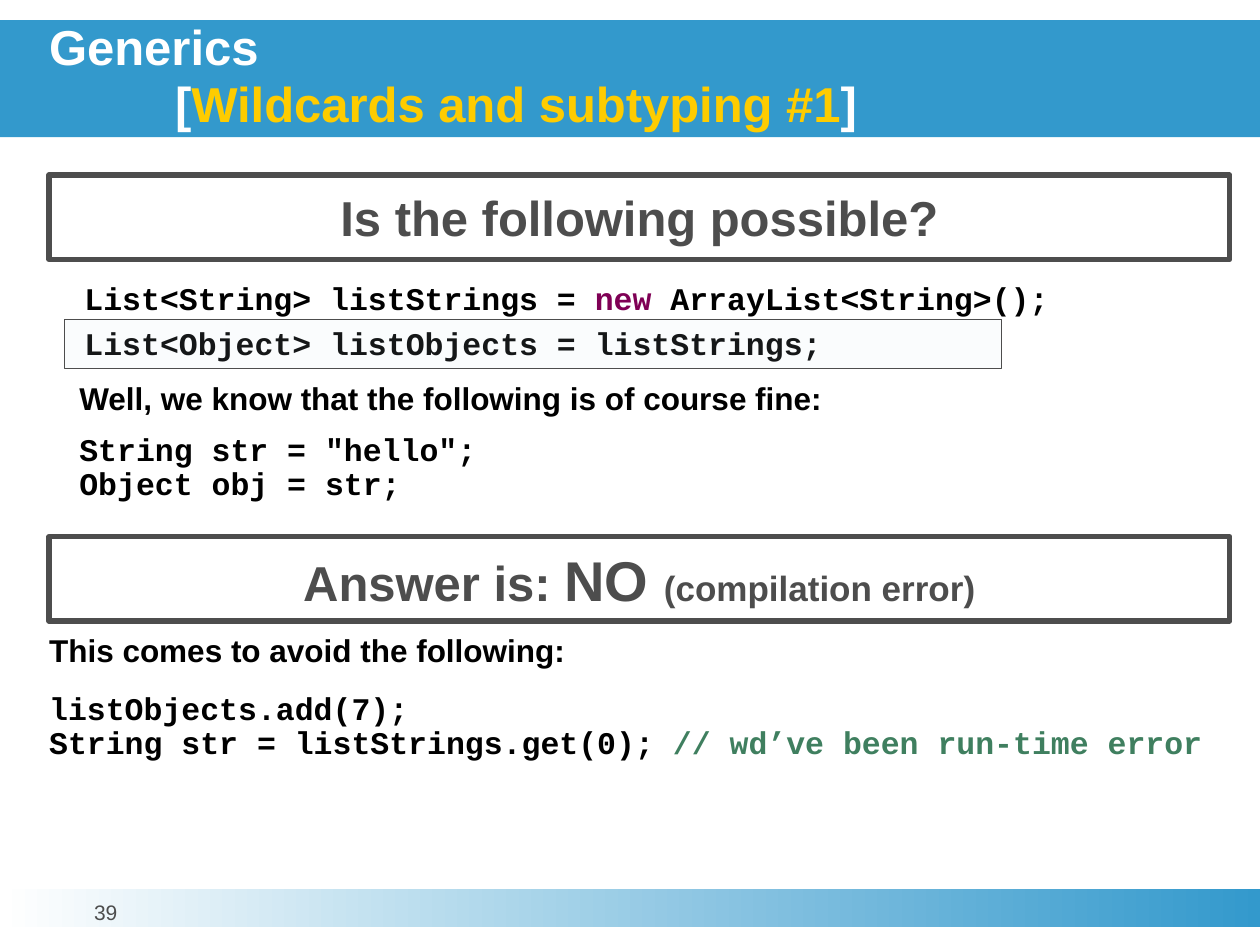
"""Build a slide on Java generics: wildcards and subtyping."""
from dataclasses import dataclass

from lxml import etree
from pptx import Presentation
from pptx.dml.color import RGBColor
from pptx.enum.dml import MSO_FILL
from pptx.enum.shapes import MSO_SHAPE
from pptx.enum.text import MSO_ANCHOR, PP_ALIGN
from pptx.oxml.ns import qn
from pptx.util import Inches, Pt

RECT = MSO_SHAPE.RECTANGLE
SOLID = MSO_FILL.SOLID
TOP, MIDDLE = MSO_ANCHOR.TOP, MSO_ANCHOR.MIDDLE
LEFT, CENTER = PP_ALIGN.LEFT, PP_ALIGN.CENTER
WHITE = RGBColor(0xFF, 0xFF, 0xFF)
BLACK = RGBColor(0, 0, 0)
BLUE = RGBColor(0x33, 0x99, 0xCC)
PALE = RGBColor(0xD4, 0xE9, 0xF4)
GREY = RGBColor(0x4D, 0x4D, 0x4D)
GOLD = RGBColor(0xFE, 0xCC, 0x00)
KEYWORD = RGBColor(0x7F, 0x00, 0x55)
COMMENT = RGBColor(0x3F, 0x7F, 0x5F)
SANS, MONO = "Arial", "Courier New"
WIDTH, HEIGHT = Inches(10), Inches(7.5)
COL, ROW = WIDTH / 100, HEIGHT / 75


@dataclass(frozen=True)
class Box:
    """Place on a grid of 100 columns and 75 rows."""
    col: float
    row: float
    cols: float
    rows: float

    def emu(self) -> tuple[int, ...]:
        """Return left, top, width and height in EMU."""
        return tuple(round(n) for n in (self.col * COL, self.row * ROW,
                                        self.cols * COL, self.rows * ROW))


@dataclass(frozen=True)
class Run:
    """Words with an optional colour and size of their own."""
    text: str
    color: RGBColor | None = None
    size: float | None = None


@dataclass(frozen=True)
class Para:
    """A paragraph of runs in one font."""
    runs: tuple[Run, ...]
    font: str = SANS
    size: float = 18
    color: RGBColor = BLACK
    bold: bool = True
    align: PP_ALIGN = LEFT
    spacing: float = 0.9
    before: float = 0
    indent: float = 0


def code(*runs: Run, before: float = 0) -> Para:
    """Return a line of code."""
    return Para(runs, font=MONO, before=before)


def write(sp, paras: list[Para], anchor: MSO_ANCHOR = TOP, wrap: bool = True) -> None:
    """Fill a shape with paragraphs, without insets."""
    tf = sp.text_frame
    tf.word_wrap = wrap
    tf.vertical_anchor = anchor
    tf.margin_left = tf.margin_top = tf.margin_right = tf.margin_bottom = 0
    for i, para in enumerate(paras):
        p = tf.add_paragraph() if i else tf.paragraphs[0]
        p.alignment, p.line_spacing = para.align, para.spacing
        p.space_before = Pt(para.before)
        p._p.get_or_add_pPr().set("marL", str(round(para.indent * COL)))
        p.font.name, p.font.size, p.font.bold = para.font, Pt(para.size), para.bold
        p.font.color.rgb = para.color
        for run in para.runs:
            r = p.add_run()
            r.text = run.text
            if run.color is not None:
                r.font.color.rgb = run.color
            if run.size:
                r.font.size = Pt(run.size)


def add_rect(s, box: Box, fill: RGBColor | None = None,
             line: RGBColor | None = None, weight: float = 0):
    """Add a plain rectangle."""
    sp = s.shapes.add_shape(RECT, *box.emu())
    sp.shadow.inherit = False
    if fill is None:
        sp.fill.background()
    else:
        sp.fill.solid()
        sp.fill.fore_color.rgb = fill
    if line is None:
        sp.line.fill.background()
    else:
        sp.line.color.rgb = line
        sp.line.width = Pt(weight)
    return sp


def add_text(s, box: Box, *paras: Para) -> None:
    """Add a text box."""
    write(s.shapes.add_textbox(*box.emu()), list(paras))


def add_banner(s, row: float, *runs: Run) -> None:
    """Add a framed headline."""
    sp = add_rect(s, Box(3.9, row, 93.7, 6.7), line=GREY, weight=3)
    para = Para(runs, size=28, color=GREY, align=CENTER, spacing=1)
    write(sp, [para], MIDDLE, wrap=False)


def add_footer(s, number: str) -> None:
    """Add the fading bar and the slide number."""
    fill = add_rect(s, Box(0, 70.6, 100, 3)).fill
    fill.gradient()
    fill.gradient_angle = 0
    for stop, position, color in zip(fill.gradient_stops, (0, 1), (WHITE, BLUE)):
        stop.position, stop.color.rgb = position, color
    add_text(s, Box(3.1, 71.6, 10.6, 3.1),
             Para((Run(number),), size=12, color=GREY, bold=False,
                  align=CENTER, spacing=Pt(13)))


def add_highlight(s, box: Box, percent: int) -> None:
    """Add a see-through frame over a line of code."""
    sp = add_rect(s, box, PALE, GREY, 0.25)
    if sp.fill.type == SOLID:
        color = sp._element.spPr.find(qn("a:solidFill"))[0]
        etree.SubElement(color, qn("a:alpha")).set("val", str(percent * 1000))


def main() -> None:
    """Draw the slide and save it."""
    prs = Presentation()
    prs.slide_width, prs.slide_height = WIDTH, HEIGHT
    s = prs.slides.add_slide(prs.slide_layouts[6])
    add_footer(s, "39")
    title = add_rect(s, Box(0, 1.6, 100, 9.3), BLUE)
    write(title, [
        Para((Run("Generics"),), size=28, color=WHITE, spacing=0.85, indent=3.9),
        Para((Run("["), Run("Wildcards and subtyping #1", GOLD), Run("]")),
             size=28, color=WHITE, spacing=0.85, before=4, indent=13.9),
    ], MIDDLE)
    add_text(s, Box(6.7, 22.5, 86.2, 8.3),
             code(Run("List<String> listStrings = "), Run("new", KEYWORD),
                  Run(" ArrayList<String>();")),
             code(Run("List<Object> listObjects = listStrings;"), before=6))
    add_banner(s, 13.9, Run("Is the following possible?"))
    add_banner(s, 42.6, Run("Answer is: "), Run("NO ", size=32),
               Run("(compilation error)", size=20))
    add_text(s, Box(3.9, 50.4, 93.7, 9.9),
             Para((Run("This comes to avoid the following:"),)),
             code(Run("listObjects.add(7);"), before=14),
             code(Run("String str = listStrings.get(0); "),
                  Run("// wd’ve been run-time error", COMMENT)))
    add_highlight(s, Box(5.1, 25.3, 74.4, 3.9), 10)
    add_text(s, Box(6.3, 30.4, 82.7, 9.6),
             Para((Run("Well, we know that the following is of course fine:"),)),
             code(Run('String str = "hello";'), before=10),
             code(Run("Object obj = str;")))
    prs.save("out.pptx")


if __name__ == "__main__":
    main()
